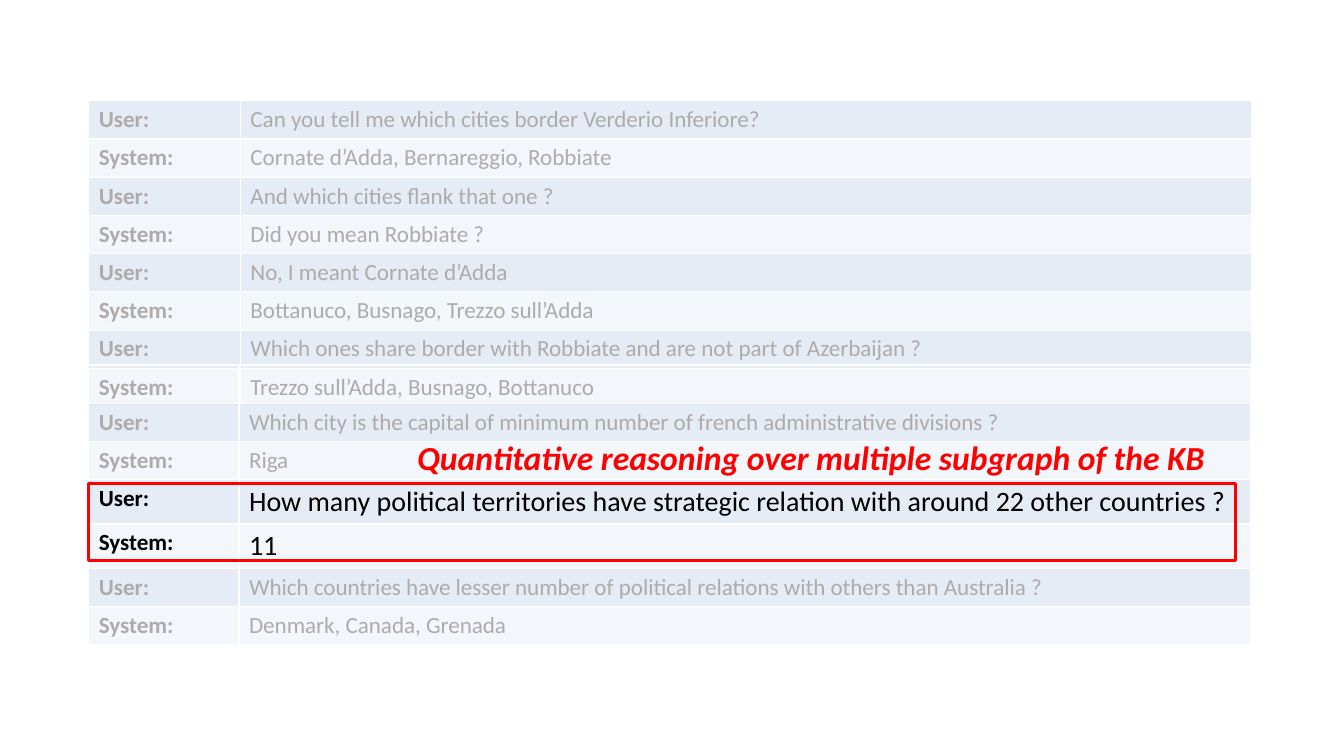
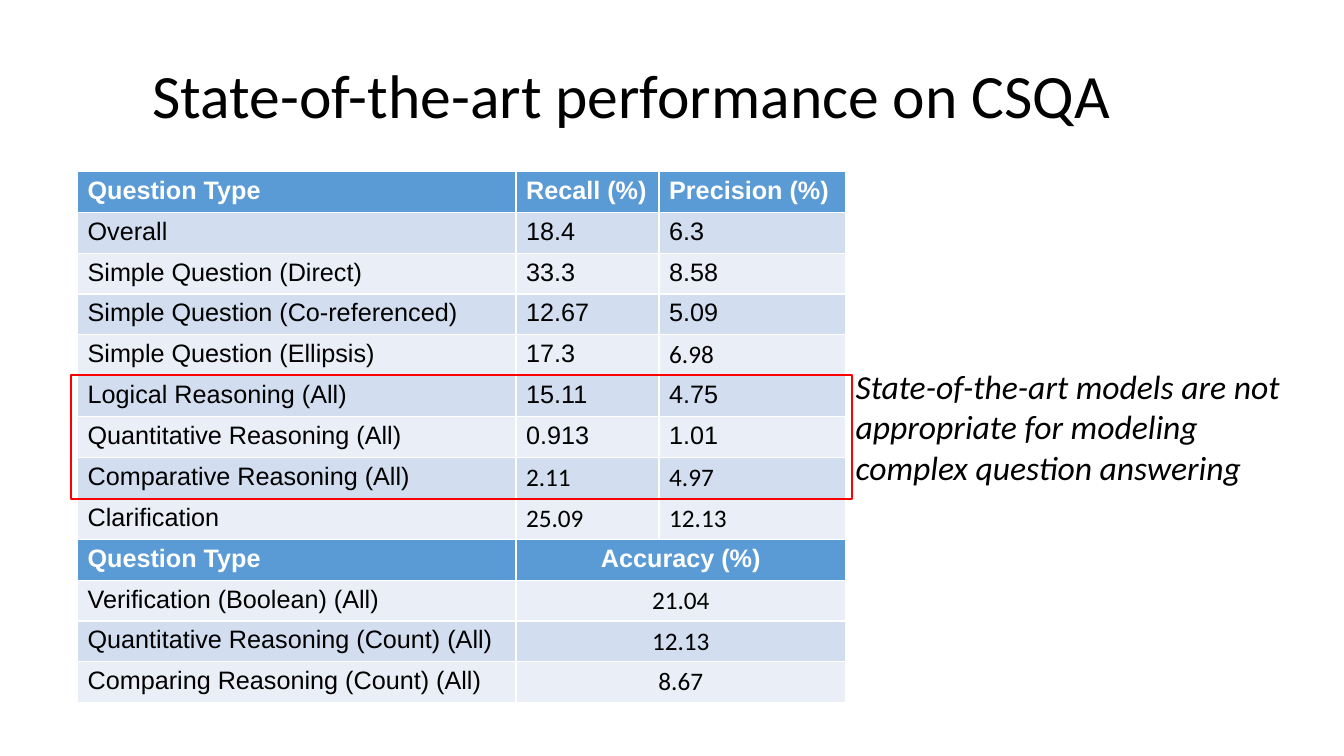
from lxml import etree
from pptx import Presentation
from pptx.dml.color import RGBColor
from pptx.enum.shapes import MSO_SHAPE
from pptx.enum.text import MSO_ANCHOR, PP_ALIGN
from pptx.oxml.ns import qn
from pptx.util import Pt

RECTANGLE = MSO_SHAPE.RECTANGLE
MIDDLE = MSO_ANCHOR.MIDDLE
LEFT, CENTER = PP_ALIGN.LEFT, PP_ALIGN.CENTER

BLACK = RGBColor(0x00, 0x00, 0x00)
WHITE = RGBColor(0xFF, 0xFF, 0xFF)
RED = RGBColor(0xFF, 0x00, 0x00)
MUTED = RGBColor(0xAF, 0xAB, 0xAB)
HEADER_BLUE = RGBColor(0x5B, 0x9B, 0xD5)
STRIPES = (RGBColor(0xEA, 0xEF, 0xF7), RGBColor(0xD2, 0xDE, 0xEF))

TITLE = {"name": "Calibri", "size": Pt(44)}
CALLOUT = {"name": "Calibri", "size": Pt(24), "bold": True, "italic": True}
NOTE = {"name": "Calibri", "size": Pt(24), "italic": True}
SPEAKER = {"name": "Calibri", "size": Pt(16.5), "bold": True}
UTTERANCE = {"name": "Calibri", "size": Pt(16.5), "bold": False}
FOCUS = {"name": "Calibri", "size": Pt(20), "bold": False}
HEADING = {"name": "Arial", "size": Pt(18), "bold": True}
LABEL = {"name": "Arial", "size": Pt(18), "bold": False}
FIGURE = {"name": "Calibri", "size": Pt(18), "bold": False}

TURN_HEIGHT, FOCUS_HEIGHT, RESULT_HEIGHT = 27.3, 31.6, 29.2
STRIPE_OPACITY = 56

BORDER_TURNS = [
    "Can you tell me which cities border Verderio Inferiore?",
    "Cornate d’Adda, Bernareggio, Robbiate",
    "And which cities flank that one ?",
    "Did you mean Robbiate ?",
    "No, I meant Cornate d’Adda",
    "Bottanuco, Busnago, Trezzo sull’Adda",
    "Which ones share border with Robbiate and are not part of Azerbaijan ?",
    "Trezzo sull’Adda, Busnago, Bottanuco",
]
COUNT_TURNS = [
    "Which city is the capital of minimum number of french administrative divisions ?",
    "Riga",
    "How many political territories have strategic relation with around 22 other countries ?",
    "11",
    "Which countries have lesser number of political relations with others than Australia ?",
    "Denmark, Canada, Grenada",
]
FOCUS_TURNS = (3, 4)

RESULTS = [
    ("Question Type", "Recall (%)", "Precision (%)"),
    ("Overall", "18.4", "6.3"),
    ("Simple Question (Direct)", "33.3", "8.58"),
    ("Simple Question (Co-referenced)", "12.67", "5.09"),
    ("Simple Question (Ellipsis)", "17.3", "6.98"),
    ("Logical Reasoning (All)", "15.11", "4.75"),
    ("Quantitative Reasoning (All)", "0.913", "1.01"),
    ("Comparative Reasoning (All)", "2.11", "4.97"),
    ("Clarification", "25.09", "12.13"),
    ("Question Type", "Accuracy (%)"),
    ("Verification (Boolean) (All)", "21.04"),
    ("Quantitative Reasoning (Count) (All)", "12.13"),
    ("Comparing Reasoning (Count) (All)", "8.67"),
]
CALIBRI_CELLS = {(4, 2), (7, 1), (7, 2), (8, 1), (8, 2), (10, 1), (11, 1), (12, 1)}


def points(box):
    """Turn a left, top, width, height box into lengths."""
    return [Pt(value) for value in box]


def assign(target, values):
    """Set each named attribute of the target."""
    for name, value in values.items():
        setattr(target, name, value)


def write(frame, text, style, color, align=LEFT):
    """Write one styled paragraph into a text frame."""
    para = frame.paragraphs[0]
    para.alignment = align
    span = para.add_run()
    span.text = text
    assign(span.font, style)
    span.font.color.rgb = color
    return para


def add_text(page, box, text, style, color, align=LEFT):
    """Add a wrapping text box and return its frame and paragraph."""
    frame = page.shapes.add_textbox(*points(box)).text_frame
    frame.word_wrap = True
    return frame, write(frame, text, style, color, align)


def add_frame(page, box, weight):
    """Add a red outline that marks rows of a table."""
    outline = page.shapes.add_shape(RECTANGLE, *points(box))
    outline.shadow.inherit = False
    outline.fill.background()
    outline.line.color.rgb = RED
    outline.line.width = Pt(weight)


def add_grid(page, left, top, widths, heights):
    """Add a table with the given column widths and row heights."""
    box = points((left, top, sum(widths), sum(heights)))
    table = page.shapes.add_table(len(heights), len(widths), *box).table
    for column, width in zip(table.columns, widths):
        column.width = Pt(width)
    for row, height in zip(table.rows, heights):
        row.height = Pt(height)
    return table


def paint(cell, color, opacity=100):
    """Fill a cell with a colour of the given opacity in percent."""
    cell.fill.solid()
    cell.fill.fore_color.rgb = color
    if opacity < 100:
        tone = cell.fill._xPr.find(".//" + qn("a:srgbClr"))
        etree.SubElement(tone, qn("a:alpha")).set("val", str(opacity * 1000))


def add_dialogue(page, left, top, widths, turns, focus=()):
    """Add a table of alternating turns below an open header row."""
    heights = [TURN_HEIGHT] + [
        FOCUS_HEIGHT if number in focus else TURN_HEIGHT
        for number in range(1, len(turns) + 1)
    ]
    table = add_grid(page, left, top, widths, heights)
    for cell in table.rows[0].cells:
        cell.fill.background()
        assign(cell, {"margin_top": 0, "margin_bottom": 0})
    for number, turn in enumerate(turns, 1):
        speaker = "User:" if number % 2 else "System:"
        color = BLACK if number in focus else MUTED
        style = FOCUS if number in focus else UTTERANCE
        for column, (text, look) in enumerate([(speaker, SPEAKER), (turn, style)]):
            cell = table.cell(number, column)
            paint(cell, STRIPES[number % 2], STRIPE_OPACITY)
            write(cell.text_frame, text, look, color)


def add_results(page, left, top, widths):
    """Add the score table, merging the score columns of two-part rows."""
    table = add_grid(page, left, top, widths, [RESULT_HEIGHT] * len(RESULTS))
    for number, texts in enumerate(RESULTS):
        heading = texts[0] == "Question Type"
        merged = len(texts) < len(widths)
        if merged:
            table.cell(number, 1).merge(table.cell(number, 2))
        for column, text in enumerate(texts):
            cell = table.cell(number, column)
            paint(cell, HEADER_BLUE if heading else STRIPES[number % 2])
            plain = FIGURE if (number, column) in CALIBRI_CELLS else LABEL
            write(
                cell.text_frame,
                text,
                HEADING if heading else plain,
                WHITE if heading else BLACK,
                CENTER if merged and column else LEFT,
            )


def build_dialogue_slide(page):
    """Build the conversation with its quantitative question marked."""
    add_dialogue(page, 63.5, 44.7, (108.2, 722), BORDER_TURNS)
    add_dialogue(page, 63.4, 260.7, (107.3, 722.6), COUNT_TURNS, FOCUS_TURNS)
    add_frame(page, (63.4, 345.6, 819.4, 54.7), 2)
    callout = "Quantitative reasoning over multiple subgraph of the KB"
    add_text(page, (290.9, 308.9, 608.4, 36), callout, CALLOUT, RED)


def build_results_slide(page):
    """Build the score table with its title and conclusion."""
    title = "State-of-the-art performance on CSQA"
    frame, para = add_text(page, (0, 18, 902.9, 104.4), title, TITLE, BLACK, CENTER)
    frame.vertical_anchor = MIDDLE
    para.line_spacing = 0.9
    note = (
        "State-of-the-art models are not appropriate for modeling "
        "complex question answering"
    )
    add_text(page, (604.1, 257.8, 334.1, 94.3), note, NOTE, BLACK)
    add_results(page, 55.4, 122.4, (313.2, 102.2, 133.2))
    add_frame(page, (50.4, 267.8, 558, 88.6), 1.5)


def main():
    """Build and save the deck."""
    deck = Presentation()
    assign(deck, {"slide_width": Pt(960), "slide_height": Pt(540)})
    for build in (build_dialogue_slide, build_results_slide):
        build(deck.slides.add_slide(deck.slide_layouts[6]))
    deck.save("out.pptx")


if __name__ == "__main__":
    main()
